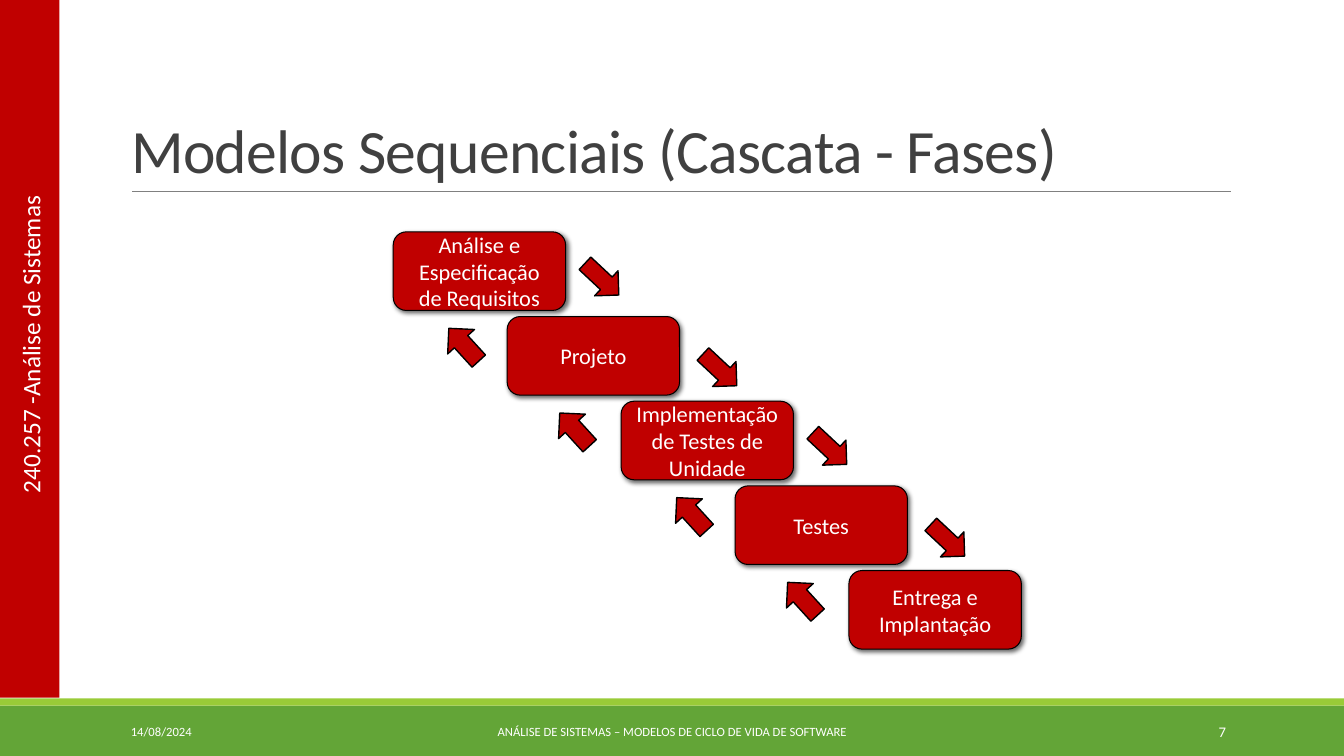
from lxml.etree import SubElement
from pptx import Presentation
from pptx.dml.color import RGBColor
from pptx.enum.shapes import MSO_CONNECTOR, MSO_SHAPE
from pptx.enum.text import MSO_ANCHOR, MSO_AUTO_SIZE, PP_ALIGN
from pptx.oxml.ns import qn
from pptx.util import Inches, Pt

COLORS = {"red": "C00000", "green": "63A537", "lime": "99CB38", "rule": "808080",
          "title": "404040", "white": "FFFFFF", "black": "000000"}
PHASES = ["Análise e Especificação de Requisitos", "Projeto",
          "Implementação de Testes de Unidade", "Testes", "Entrega e Implantação"]
PHASE_SIZE = (1.71, 0.78)
PHASE_STEP = (1.13, 0.84)
# Arrow offsets from the top left of the phase each arrow leaves or returns to
FORWARD_OFFSETS = [(1.9, 0.24), (1.94, 0.3), (1.9, 0.24), (1.94, 0.31)]
BACK_OFFSETS = [(0.52, 0.9), (0.49, 0.9), (0.52, 0.9), (0.49, 0.9)]


def color(name):
    return RGBColor.from_string(COLORS[name])


def lengths(box):
    return [Inches(value) for value in box]


def write(shape, text, size, font_color="white", align=PP_ALIGN.LEFT,
          anchor=MSO_ANCHOR.MIDDLE, wrap=True):
    frame = shape.text_frame
    frame_format = {"text": text, "word_wrap": wrap, "vertical_anchor": anchor,
                    "auto_size": MSO_AUTO_SIZE.NONE}
    for name, value in frame_format.items():
        setattr(frame, name, value)
    paragraph = frame.paragraphs[0]
    paragraph.alignment = align
    font = paragraph.runs[0].font
    for name, value in {"name": "Calibri", "size": Pt(size)}.items():
        setattr(font, name, value)
    font.color.rgb = color(font_color)
    return paragraph


def add_label(slide, box, text, size, **text_format):
    label = slide.shapes.add_textbox(*lengths(box))
    write(label, text, size, **text_format)
    return label


def add_block(slide, kind, box, fill, line_width=0, rotation=0):
    block = slide.shapes.add_shape(kind, *lengths(box))
    block.shadow.inherit = False
    block.rotation = rotation
    block.fill.solid()
    block.fill.fore_color.rgb = color(fill)
    if line_width:
        block.line.color.rgb = color("black")
        block.line.width = Pt(line_width)
    else:
        block.line.fill.background()
    return block


def add_shadow(shape):
    effects = shape._element.spPr.find(qn("a:effectLst"))
    shadow = SubElement(effects, qn("a:outerShdw"), blurRad=str(Pt(3.5)),
                        dist=str(Pt(2)), dir="2700000", algn="tl", rotWithShape="0")
    shade = SubElement(shadow, qn("a:srgbClr"), val=COLORS["black"])
    SubElement(shade, qn("a:alpha"), val="60000")


def add_title(slide, box, text):
    left, top, width, height = box
    title = slide.shapes.title
    for name, value in zip(("left", "top", "width", "height"), lengths(box)):
        setattr(title, name, value)
    paragraph = write(title, text, 44, "title", anchor=MSO_ANCHOR.BOTTOM)
    paragraph.line_spacing = 0.85
    paragraph.runs[0].font._element.set("spc", "-50")
    bottom = top + height
    rule = slide.shapes.add_connector(
        MSO_CONNECTOR.STRAIGHT, *lengths((left + 0.11, bottom, left + 11.01, bottom)))
    rule.line.color.rgb = color("rule")
    rule.line.width = Pt(0.5)
    SubElement(rule._element.spPr, qn("a:effectLst"))


def add_footer(slide, box):
    left, top, width, height = box
    add_block(slide, MSO_SHAPE.RECTANGLE, (left, top + 0.07, width, height - 0.07), "green")
    add_block(slide, MSO_SHAPE.RECTANGLE, (left, top, width, 0.07), "lime")
    labels = [(1.2, 2.7, "14/08/2024", 9, PP_ALIGN.LEFT),
              (4.03, 5.27, "ANÁLISE DE SISTEMAS – MODELOS DE CICLO DE VIDA DE SOFTWARE",
               9, PP_ALIGN.CENTER),
              (10.83, 1.43, "7", 10.5, PP_ALIGN.RIGHT)]
    for offset, label_width, text, size, align in labels:
        add_label(slide, (left + offset, top + 0.13, label_width, 0.4), text, size, align=align)


def add_sidebar(slide, box, text):
    left, top, width, height = box
    add_block(slide, MSO_SHAPE.RECTANGLE, box, "red")
    label_width, label_height = 3.18, 0.4
    label_box = (left + 0.3 - label_width / 2, top + 3.2, label_width, label_height)
    label = add_label(slide, label_box, text, 18, anchor=MSO_ANCHOR.TOP, wrap=False)
    label.rotation = 270


def add_cascade(slide, left, top):
    """Place the phases as a staircase, with arrows down and back up."""
    corners = [(left + index * PHASE_STEP[0], top + index * PHASE_STEP[1])
               for index in range(len(PHASES))]
    for corner, text in zip(corners, PHASES):
        phase = add_block(slide, MSO_SHAPE.ROUNDED_RECTANGLE, corner + PHASE_SIZE, "red", 0.75)
        add_shadow(phase)
        write(phase, text, 16, align=PP_ALIGN.CENTER)
    arrow_sets = [(FORWARD_OFFSETS, (0.34, 0.46), 313.1), (BACK_OFFSETS, (0.36, 0.44), 137.6)]
    for offsets, size, rotation in arrow_sets:
        for (x, y), (dx, dy) in zip(corners, offsets):
            add_block(slide, MSO_SHAPE.DOWN_ARROW, (x + dx, y + dy) + size, "red", 1, rotation)


def main():
    presentation = Presentation()
    presentation.slide_width = Inches(13.33)
    presentation.slide_height = Inches(7.5)
    slide = presentation.slides.add_slide(presentation.slide_layouts[5])
    add_title(slide, (1.2, 0.31, 11, 1.59), "Modelos Sequenciais (Cascata - Fases)")
    add_footer(slide, (0, 6.93, 13.33, 0.57))
    add_sidebar(slide, (0, 0, 0.59, 6.92), "240.257 -Análise de Sistemas")
    add_cascade(slide, 3.9, 2.3)
    presentation.save("out.pptx")


if __name__ == "__main__":
    main()
